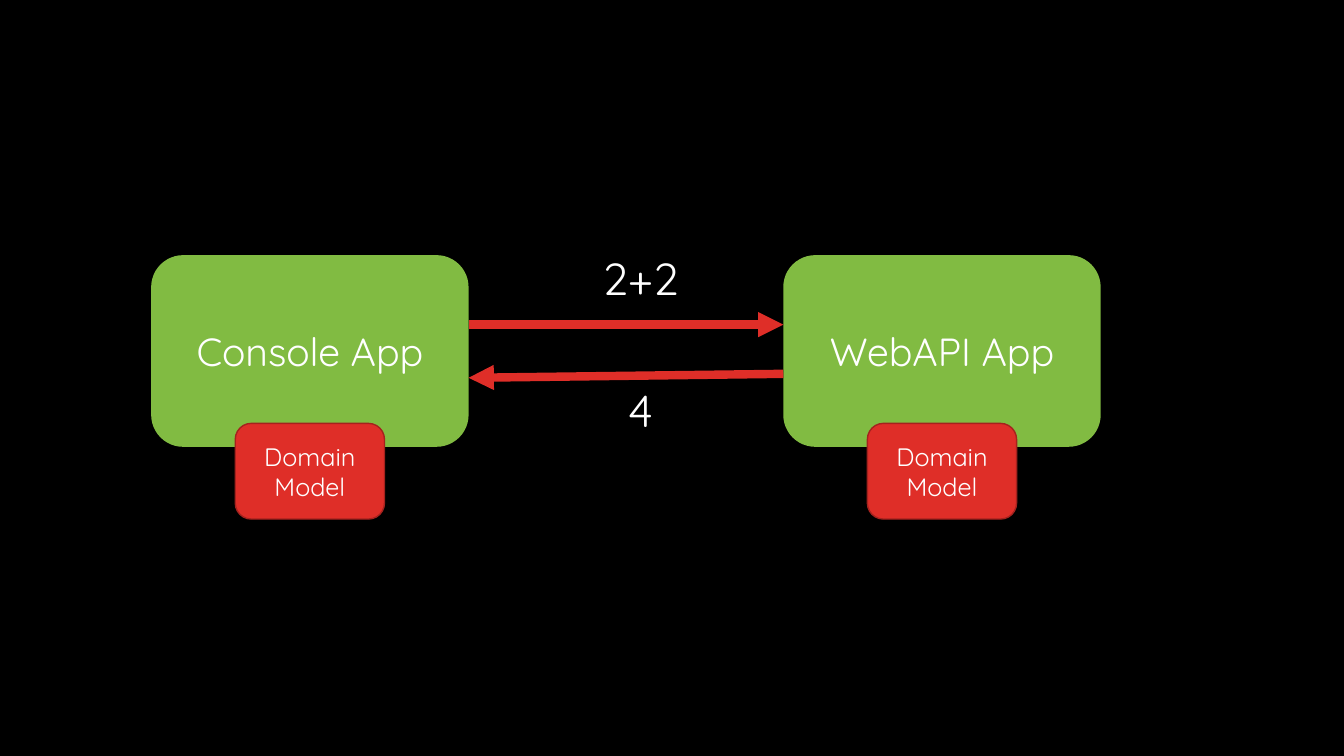
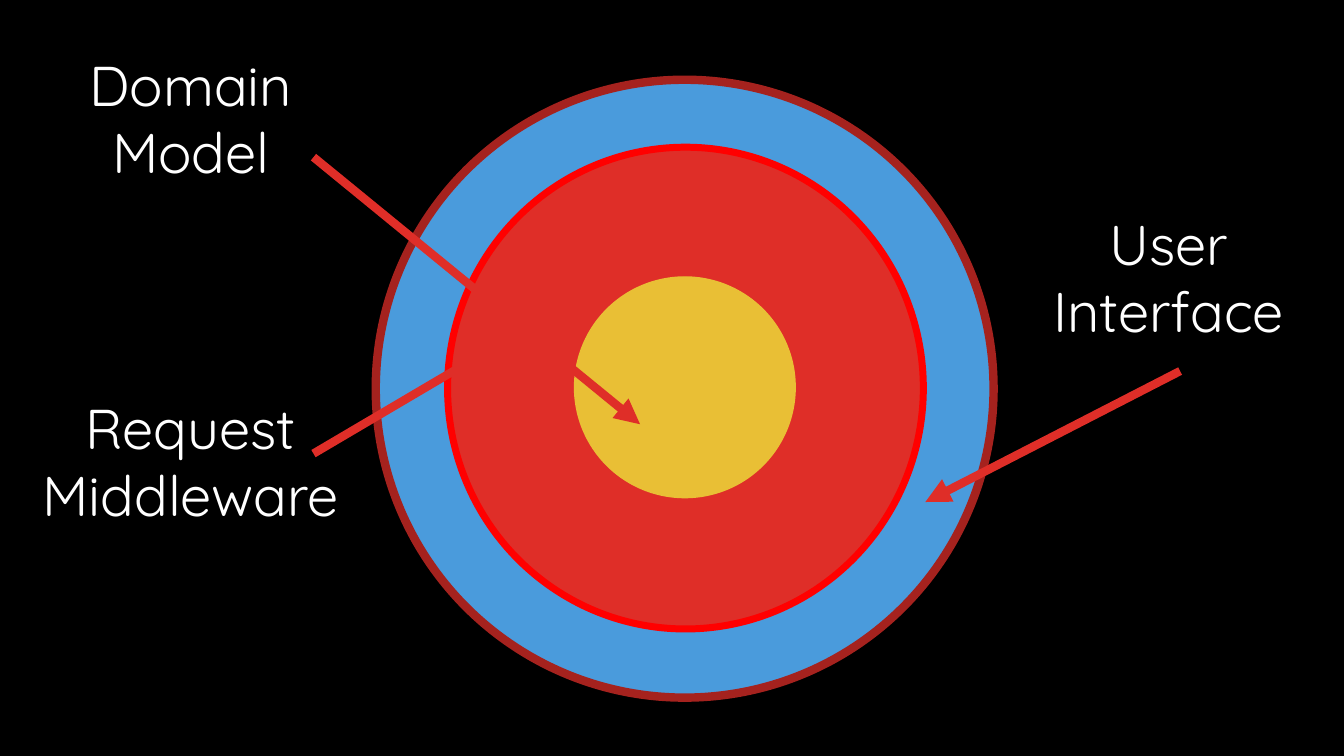
from lxml.etree import SubElement
from pptx import Presentation
from pptx.dml.color import RGBColor
from pptx.enum.shapes import MSO_CONNECTOR, MSO_SHAPE
from pptx.enum.text import MSO_ANCHOR, MSO_AUTO_SIZE, PP_ALIGN
from pptx.oxml.ns import qn
from pptx.util import Cm, Pt

FONT = "Quicksand"
BLACK, WHITE = "000000", "FFFFFF"
GREEN, BLUE, YELLOW = "81BB42", "4A9BDC", "E9BF35"
RED, DARK_RED, BRIGHT_RED = "DF2E28", "A5221E", "FF0000"
color = RGBColor.from_string


def add_box(slide, frame, text="", size=18, preset=None, fill=None, outline=None, weight=1):
    lengths = [Cm(value) for value in frame]
    if preset is None:
        box = slide.shapes.add_textbox(*lengths)
        box.text_frame.auto_size = MSO_AUTO_SIZE.SHAPE_TO_FIT_TEXT
    else:
        box = slide.shapes.add_shape(preset, *lengths)
        box.shadow.inherit = False
        box.fill.solid()
        box.fill.fore_color.rgb = color(fill)
        box.text_frame.vertical_anchor = MSO_ANCHOR.MIDDLE
        if outline:
            box.line.color.rgb = color(outline)
            box.line.width = Pt(weight)
        else:
            box.line.fill.background()
    if text:
        box.text_frame.word_wrap = True
        box.text_frame.text = text
        para = box.text_frame.paragraphs[0]
        para.alignment = PP_ALIGN.CENTER
        span = para.runs[0]
        span.font.name = FONT
        span.font.size = Pt(size)
        span.font.color.rgb = color(WHITE)


def add_arrow(slide, *ends):
    arrow = slide.shapes.add_connector(MSO_CONNECTOR.STRAIGHT, *[Cm(value) for value in ends])
    arrow.line.color.rgb = color(RED)
    arrow.line.width = Pt(6)
    properties = arrow.element.spPr
    SubElement(properties.find(qn("a:ln")), qn("a:tailEnd"), type="triangle")
    SubElement(properties, qn("a:effectLst"))


deck = Presentation()
deck.slide_width = Cm(33.87)
deck.slide_height = Cm(19.05)
background = deck.slide_master.background.fill
background.solid()
background.fore_color.rgb = color(BLACK)
blank = deck.slide_layouts[6]

page = deck.slides.add_slide(blank)
app_width, model_width = 8, 3.76
left_app, right_app = 3.81, 19.74
for app_left, app_name in [(left_app, "Console App"), (right_app, "WebAPI App")]:
    add_box(page, (app_left, 6.43, app_width, 4.83), app_name, 28,
            MSO_SHAPE.ROUNDED_RECTANGLE, GREEN)
    model_left = app_left + (app_width - model_width) / 2
    add_box(page, (model_left, 10.67, model_width, 2.41), "Domain Model", 18,
            MSO_SHAPE.ROUNDED_RECTANGLE, RED, DARK_RED)

add_arrow(page, left_app + app_width, 8.18, right_app, 8.18)
add_arrow(page, right_app, 9.42, left_app + app_width, 9.52)
for message_top, message in [(6.2, "2+2"), (9.52, "4")]:
    add_box(page, (14.43, message_top, 3.43, 1.63), message, 32)

page = deck.slides.add_slide(blank)
rings = [
    ((9.47, 2.01, 15.57, 15.57), BLUE, DARK_RED, 6),
    ((11.28, 3.71, 11.99, 12.14), RED, BRIGHT_RED, 5),
    ((14.48, 6.98, 5.56, 5.56), YELLOW, YELLOW, 1),
]
for frame, fill, outline, weight in rings:
    add_box(page, frame, preset=MSO_SHAPE.OVAL, fill=fill, outline=outline, weight=weight)

layers = [
    ("Request Middleware", (0.13, 9.78, 9.35, 3.68), (7.9, 11.43, 13.94, 7.87)),
    ("Domain Model", (0.48, 1.14, 8.66, 3.68), (7.9, 3.96, 16.13, 10.69)),
    ("User Interface", (25.12, 5.16, 8.66, 3.68), (29.74, 9.35, 23.32, 12.65)),
]
for layer_name, frame, ends in layers:
    add_arrow(page, *ends)
    add_box(page, frame, layer_name, 40)

deck.save("out.pptx")
